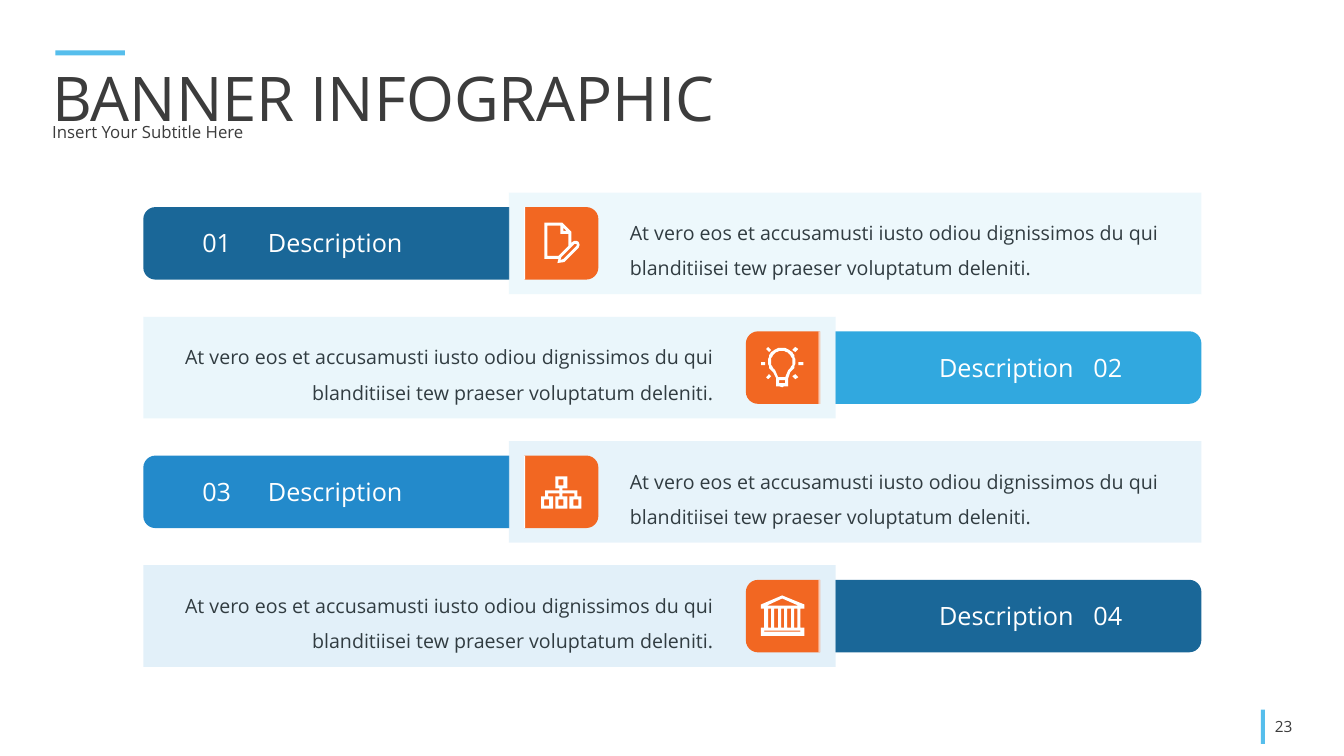
import math
from pptx import Presentation
from pptx.dml.color import RGBColor
from pptx.enum import shapes, text
from pptx.oxml.ns import qn
from pptx.util import Pt
from lxml import etree

COLORS = {"accent": "56BEEC", "heading": "3C3C3C", "body": "313C41", "tile": "F26722",
          "white": "FFFFFF", "navy": "1A6798", "sky": "31A8DF", "blue": "238ACB"}
FONT = "Open Sans"
BODY = ("At vero eos et accusamusti iusto odiou dignissimos du qui "
        "blanditiisei tew praeser voluptatum deleniti.")
BANNERS = [("01", "Description", BODY, "navy", "DDF2FB", "document"),
           ("02", "Description", BODY, "sky", "D6EEF9", "bulb"),
           ("03", "Description", BODY, "blue", "D1E8F7", "chart"),
           ("04", "Description", BODY, "navy", "C6E3F5", "bank")]

LEFT, CENTER, RIGHT = text.PP_ALIGN.LEFT, text.PP_ALIGN.CENTER, text.PP_ALIGN.RIGHT
SIDES = [
    {"bar": 102.4, "bar_turn": 270, "panel": 363.6, "tile": 374.4, "tile_turn": 90, "edge": 374.4,
     "label": 184.3, "number": 121, "body": 442.8, "align": LEFT, "number_align": CENTER},
    {"bar": 596.7, "bar_turn": 90, "panel": 102.4, "tile": 532.8, "tile_turn": 270, "edge": 584.8,
     "label": 613.4, "number": 774, "body": 117.4, "align": RIGHT, "number_align": LEFT},
]
TOP, PITCH = 137.5, 88.75
PANEL_W, PANEL_H = 494.6, 72.6
BAR_W, BAR_H, TILE_W = 261.4, 51.8, 53


def box(x, y, w, h):
    return [(x, y), (x + w, y), (x + w, y + h), (x, y + h)]


def arc(cx, cy, radius, start, end, steps=36):
    angles = [math.radians(start + (end - start) * i / steps) for i in range(steps + 1)]
    return [(cx + radius * math.cos(a), cy + radius * math.sin(a)) for a in angles]


ICONS = {
    "document": (388.8, 21.6, [
        [(34, 19), (32.5, 18.3), (30, 18.3), (28, 19), (27, 20), (27, 9), (18, 0), (0, 0), (0, 36),
         (14, 36), (13, 40), (20, 39), (34, 25), (35, 22)],
        [(19, 5), (22, 8), (19, 8)],
        [(3, 33), (3, 3), (16, 3), (16, 11), (24, 11), (24, 23), (14, 33)],
        [(32, 23), (19, 36), (16, 37), (17, 34), (30, 21), (31, 20.7), (32, 21)]]),
    "bulb": (543.6, 21.6, [
        arc(20.5, 14.5, 13.7, 129, 411)
        + [(27, 31), (27, 39), (23, 39), (21, 40), (18, 39), (15, 39), (15, 31)],
        arc(20.5, 14.5, 10.7, 129, 411) + [(24, 30), (17, 30)],
        box(18, 33, 6, 3), box(37, 15, 5, 3), box(0, 15, 4, 3),
        [(31, 29), (34, 32), (37, 30), (34, 27)],
        [(10, 3), (7, 0), (5, 2), (8, 5)],
        [(5, 30), (7, 32), (10, 29), (8, 27)],
        [(31, 3), (34, 5), (37, 2), (34, 0)]]),
    "chart": (386.6, 25.2, [
        [(18, 12), (21, 12), (21, 14), (36, 14), (36, 20), (33, 20), (33, 17), (21, 17),
         (21, 20), (18, 20), (18, 17), (7, 17), (7, 20), (4, 20), (4, 14), (18, 14)]]
        + [part for x, y in [(14, 0), (0, 20), (14, 20), (28.5, 20)]
           for part in (box(x, y, 11.5, 12), box(x + 3, y + 3, 5.5, 6))]),
    "bank": (543.6, 21.6, [
        [(43, 13), (43, 9), (21, 0), (0, 9), (0, 13), (3, 13), (3, 32), (0, 32), (0, 40),
         (43, 40), (43, 32), (39, 32), (39, 13)],
        [(21, 3), (37, 10), (6, 10)], box(3, 35, 36, 1)]
        + [box(6.8 + 6.5 * i, 13, 3.3, 19) for i in range(5)]),
}

prs = Presentation()
prs.slide_width, prs.slide_height = Pt(960), Pt(540)
slide = prs.slides.add_slide(prs.slide_layouts[6])


def paint(sp, color, alpha=None):
    sp.shadow.inherit = False
    sp.fill.solid()
    sp.fill.fore_color.rgb = RGBColor.from_string(color)
    sp.line.fill.background()
    if alpha:
        clr = sp.fill._xPr.find(qn("a:solidFill"))[0]
        etree.SubElement(clr, qn("a:alpha")).set("val", str(alpha * 1000))


def add_rect(x, y, w, h, color, alpha=None):
    sp = slide.shapes.add_shape(shapes.MSO_SHAPE.RECTANGLE, Pt(x), Pt(y), Pt(w), Pt(h))
    paint(sp, color, alpha)


def add_tab(x, y, w, h, turn, color):
    sp = slide.shapes.add_shape(shapes.MSO_SHAPE.ROUND_2_SAME_RECTANGLE,
                                Pt(x + (w - h) / 2), Pt(y + (h - w) / 2), Pt(h), Pt(w))
    sp.rotation = turn
    paint(sp, color)


def add_text(x, y, w, h, words, size, color, align=LEFT, spacing=1.0,
             anchor=text.MSO_ANCHOR.TOP):
    tf = slide.shapes.add_textbox(Pt(x), Pt(y), Pt(w), Pt(h)).text_frame
    tf.word_wrap = True
    tf.vertical_anchor = anchor
    p = tf.paragraphs[0]
    p.text, p.alignment, p.line_spacing = words, align, spacing
    p.font.name, p.font.size = FONT, Pt(size)
    p.font.color.rgb = RGBColor.from_string(COLORS[color])


def add_icon(name, row_top):
    x, dy, outlines = ICONS[name]
    builder = None
    for first, *rest in outlines:
        if builder is None:
            builder = slide.shapes.build_freeform(*first, scale=Pt(0.72))
        else:
            builder.move_to(*first)
        builder.add_line_segments(rest, close=True)
    paint(builder.convert_to_shape(Pt(x), Pt(row_top + dy)), COLORS["white"])


add_rect(900.7, 506.9, 2.9, 24.5, COLORS["accent"])
add_rect(39.6, 36, 49.7, 3.6, COLORS["accent"])
add_text(903.6, 504.7, 34.6, 28.8, "23", 11, "heading", anchor=text.MSO_ANCHOR.MIDDLE)
add_text(30.2, 39.6, 720, 60.5, "BANNER INFOGRAPHIC", 44, "heading",
         spacing=0.9, anchor=text.MSO_ANCHOR.BOTTOM)
add_text(30.2, 86.4, 720, 19.4, "Insert Your Subtitle Here", 12, "heading", spacing=0.8)

for i, (number, label, body, bar_color, panel_color, icon) in enumerate(BANNERS):
    side = SIDES[i % 2]
    top = TOP + i * PITCH
    bar_top = top + (PANEL_H - BAR_H) / 2
    add_tab(side["bar"], bar_top, BAR_W, BAR_H, side["bar_turn"], COLORS[bar_color])
    add_rect(side["panel"], top, PANEL_W, PANEL_H, panel_color, alpha=50)
    add_tab(side["tile"], bar_top, TILE_W, BAR_H, side["tile_turn"], COLORS["tile"])
    add_rect(side["edge"], bar_top, 0.72, BAR_H, COLORS["white"])
    add_text(side["label"], top + 21.6, 160.6, 28.8, label, 18, "white", side["align"])
    add_text(side["number"], top + 21.6, 67.7, 28.8, number, 18, "white", side["number_align"])
    add_text(side["body"], top + 8.5, 399.6, 55.4, body, 14, "body", side["align"], 1.5)
    add_icon(icon, top)

prs.save("out.pptx")
